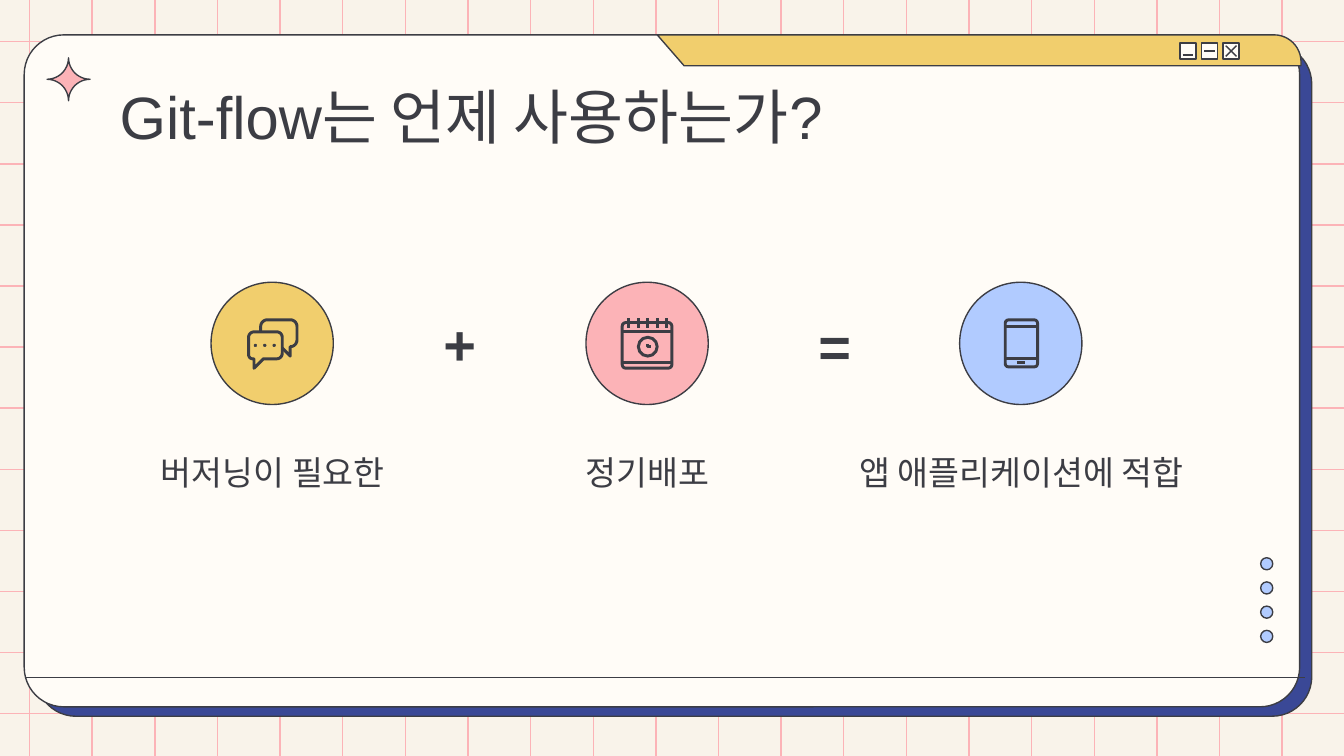
from dataclasses import dataclass
from math import dist

from lxml.etree import SubElement
from pptx import Presentation
from pptx.dml.color import RGBColor
from pptx.enum.shapes import MSO_CONNECTOR, MSO_SHAPE
from pptx.enum.text import MSO_ANCHOR, MSO_AUTO_SIZE, PP_ALIGN
from pptx.oxml.ns import qn
from pptx.util import Inches, Pt


@dataclass(frozen=True)
class Theme:
    ink: str = "3C3D44"
    paper: str = "FFFCF7"
    backdrop: str = "F9F3EA"
    navy: str = "3A4896"
    yellow: str = "F1CE6D"
    pink: str = "FCB3B7"
    blue: str = "B1CBFF"
    font: str = "Arial"
    title_size: float = 32
    label_size: float = 18
    sign_size: float = 30
    thin: float = 0.75
    icon_stroke: float = 1.6


@dataclass(frozen=True)
class Frame:
    left: float
    top: float
    width: float
    height: float


@dataclass(frozen=True)
class Corner:
    x: float
    y: float
    radius: float = 0


@dataclass(frozen=True)
class Step:
    label: str
    label_frame: Frame
    circle_left: float
    color: str
    placeholder: int


@dataclass(frozen=True)
class Sign:
    text: str
    frame: Frame


THEME = Theme()
STEPS = [
    Step("버저닝이 필요한", Frame(0.84, 3.23, 2.38, 0.53), 1.57, THEME.yellow, 1),
    Step("정기배포", Frame(3.63, 3.23, 2.38, 0.53), 4.36, THEME.pink, 2),
    Step("앱 애플리케이션에 적합", Frame(6.13, 3.23, 2.94, 0.53), 7.14, THEME.blue, 3),
]
SIGNS = [Sign("+", Frame(3.1, 2.24, 0.64, 0.63)), Sign("=", Frame(5.89, 2.25, 0.64, 0.63))]


def rgb(color: str) -> RGBColor:
    return RGBColor.from_string(color)


def style_shape(shape, fill: str | None, stroke: float):
    shape.shadow.inherit = False
    if fill:
        shape.fill.solid()
        shape.fill.fore_color.rgb = rgb(fill)
    else:
        shape.fill.background()
    shape.line.color.rgb = rgb(THEME.ink)
    shape.line.width = Pt(stroke)


def add_preset(page, kind, frame: Frame, fill: str | None, stroke: float = THEME.thin,
               rounding: float | None = None):
    shape = page.shapes.add_shape(kind, Inches(frame.left), Inches(frame.top),
                                  Inches(frame.width), Inches(frame.height))
    style_shape(shape, fill, stroke)
    if rounding is not None:
        shape.adjustments[0] = rounding


def add_line(page, x1: float, y1: float, x2: float, y2: float,
             color: str = THEME.ink, stroke: float = THEME.thin):
    line = page.shapes.add_connector(MSO_CONNECTOR.STRAIGHT, Inches(x1), Inches(y1),
                                     Inches(x2), Inches(y2))
    line.line.color.rgb = rgb(color)
    line.line.width = Pt(stroke)
    SubElement(line._element.spPr, qn("a:effectLst"))


def round_corner(before: Corner, corner: Corner, after: Corner) -> list[tuple[float, float]]:
    """Sample the circular arc that replaces a corner, or return the corner itself."""
    if not corner.radius:
        return [(corner.x, corner.y)]
    ends = []
    for other in (before, after):
        share = corner.radius / dist((corner.x, corner.y), (other.x, other.y))
        ends.append((corner.x + (other.x - corner.x) * share,
                     corner.y + (other.y - corner.y) * share))
    start, end = ends
    pull = 0.55
    points = []
    for index in range(13):
        t = index / 12
        start_weight = (1 - t) ** 3 + 3 * (1 - t) ** 2 * t * (1 - pull)
        end_weight = t ** 3 + 3 * (1 - t) * t ** 2 * (1 - pull)
        points.append(tuple(start_weight * a + end_weight * b + (1 - start_weight - end_weight) * c
                            for a, b, c in zip(start, end, (corner.x, corner.y))))
    return points


def add_outline(page, corners: list[Corner], fill: str | None,
                stroke: float = THEME.thin, close: bool = True):
    points = []
    for index, corner in enumerate(corners):
        after = corners[(index + 1) % len(corners)]
        points += round_corner(corners[index - 1], corner, after)
    points = [(Inches(x), Inches(y)) for x, y in points]
    builder = page.shapes.build_freeform(*points[0], scale=1.0)
    builder.add_line_segments(points[1:], close=close)
    style_shape(builder.convert_to_shape(), fill, stroke)


def draw_grid(page):
    for column in range(21):
        x = 0.22 + column * 9.32 / 20
        add_line(page, x, -0.49, x, 5.68, THEME.pink)
    for row in range(12):
        y = 0.31 + row * 5 / 11
        add_line(page, 10.06, y, -0.16, y, THEME.pink)


def draw_window(page):
    for left, top, fill in ((0.27, 0.33, THEME.navy), (0.18, 0.26, THEME.paper)):
        add_preset(page, MSO_SHAPE.ROUNDED_RECTANGLE, Frame(left, top, 9.49, 5), fill,
                   rounding=0.059)
    add_outline(page, [Corner(4.89, 0.26), Corner(5.09, 0.49), Corner(9.68, 0.49),
                       Corner(9.68, 0.26, 0.2)], THEME.yellow)
    for left in (8.78, 8.94, 9.1):
        add_preset(page, MSO_SHAPE.RECTANGLE, Frame(left, 0.32, 0.12, 0.12), THEME.paper)
    add_line(page, 8.8, 0.41, 8.88, 0.41)
    add_line(page, 8.96, 0.38, 9.04, 0.38)
    add_line(page, 9.12, 0.34, 9.2, 0.42)
    add_line(page, 9.12, 0.42, 9.2, 0.34)
    add_line(page, 0.19, 5.04, 9.71, 5.04)
    center = Corner(0.51, 0.59, 0.16)
    tips = [Corner(0.51, 0.43), Corner(0.67, 0.59), Corner(0.51, 0.75), Corner(0.35, 0.59)]
    add_outline(page, [corner for tip in tips for corner in (tip, center)], THEME.pink)
    for index in range(4):
        add_preset(page, MSO_SHAPE.OVAL, Frame(9.38, 4.15 + index * 0.18, 0.09, 0.09), THEME.blue)


def draw_chat_icon(page):
    back = [Corner(1.94, 2.47), Corner(1.94, 2.38, 0.05), Corner(2.21, 2.38, 0.05),
            Corner(2.21, 2.58, 0.05), Corner(2.16, 2.58), Corner(2.16, 2.65), Corner(2.1, 2.59)]
    front = [Corner(1.85, 2.47, 0.04), Corner(2.1, 2.47, 0.04), Corner(2.1, 2.67, 0.04),
             Corner(1.96, 2.67), Corner(1.89, 2.74), Corner(1.89, 2.67), Corner(1.85, 2.67, 0.03)]
    add_outline(page, back, None, THEME.icon_stroke, close=False)
    add_outline(page, front, None, THEME.icon_stroke)
    for left in (1.89, 1.96, 2.03):
        add_preset(page, MSO_SHAPE.OVAL, Frame(left, 2.56, 0.02, 0.02), THEME.ink, 0.25)


def draw_calendar_icon(page):
    stroke = THEME.icon_stroke
    add_preset(page, MSO_SHAPE.ROUNDED_RECTANGLE, Frame(4.63, 2.4, 0.37, 0.34), None, stroke, 0.08)
    for y in (2.47, 2.7):
        add_line(page, 4.63, y, 5, y, stroke=stroke)
    for ring in range(5):
        x = 4.68 + ring * 0.07
        add_line(page, x, 2.37, x, 2.44, stroke=stroke)
    add_preset(page, MSO_SHAPE.OVAL, Frame(4.75, 2.51, 0.14, 0.14), None, stroke)
    add_outline(page, [Corner(4.82, 2.56), Corner(4.82, 2.58), Corner(4.84, 2.58)],
                None, stroke, close=False)


def draw_phone_icon(page):
    stroke = THEME.icon_stroke
    add_preset(page, MSO_SHAPE.ROUNDED_RECTANGLE, Frame(7.48, 2.38, 0.24, 0.35), None, stroke, 0.1)
    for left, right, y in ((7.48, 7.72, 2.43), (7.48, 7.72, 2.67), (7.57, 7.63, 2.7)):
        add_line(page, left, y, right, y, stroke=stroke)


def write_text(box, frame: Frame, text: str, size: float, anchor, align,
               bold: bool = False, spacing: float = 1):
    box.left, box.top = Inches(frame.left), Inches(frame.top)
    box.width, box.height = Inches(frame.width), Inches(frame.height)
    body = box.text_frame
    body.text = text
    body.word_wrap = True
    body.auto_size = MSO_AUTO_SIZE.NONE
    body.vertical_anchor = anchor
    body.margin_left = body.margin_top = body.margin_right = body.margin_bottom = Inches(0.1)
    para = body.paragraphs[0]
    para.alignment = align
    para.line_spacing = spacing
    para.space_before = Pt(0)
    properties = para._p.get_or_add_pPr()
    properties.set("marL", "0")
    properties.set("indent", "0")
    SubElement(properties, qn("a:buNone"))
    para.font.name = THEME.font
    para.font.size = Pt(size)
    para.font.bold = bold
    para.font.color.rgb = rgb(THEME.ink)


def bring_to_front(box):
    box.element.getparent().append(box.element)


def main():
    deck = Presentation()
    deck.slide_width, deck.slide_height = Inches(10), Inches(10 * 9 / 16)
    page = deck.slides.add_slide(deck.slide_layouts.get_by_name("Comparison"))
    page.background.fill.solid()
    page.background.fill.fore_color.rgb = rgb(THEME.backdrop)
    draw_grid(page)
    draw_window(page)

    title = page.shapes.title
    write_text(title, Frame(0.79, 0.49, 8.43, 0.63), "Git-flow는 언제 사용하는가?",
               THEME.title_size, MSO_ANCHOR.TOP, PP_ALIGN.LEFT)
    bring_to_front(title)
    bodies = {box.placeholder_format.idx: box for box in page.placeholders}
    for step in STEPS:
        label = bodies[step.placeholder]
        write_text(label, step.label_frame, step.label, THEME.label_size,
                   MSO_ANCHOR.BOTTOM, PP_ALIGN.CENTER, spacing=1.15)
        bring_to_front(label)
        add_preset(page, MSO_SHAPE.OVAL, Frame(step.circle_left, 2.1, 0.91, 0.91), step.color)
    spare = bodies[4].element
    spare.getparent().remove(spare)

    draw_phone_icon(page)
    draw_calendar_icon(page)
    draw_chat_icon(page)
    for sign in SIGNS:
        write_text(page.shapes.add_textbox(0, 0, 0, 0), sign.frame, sign.text, THEME.sign_size,
                   MSO_ANCHOR.MIDDLE, PP_ALIGN.CENTER, bold=True)
    deck.save("out.pptx")


if __name__ == "__main__":
    main()
